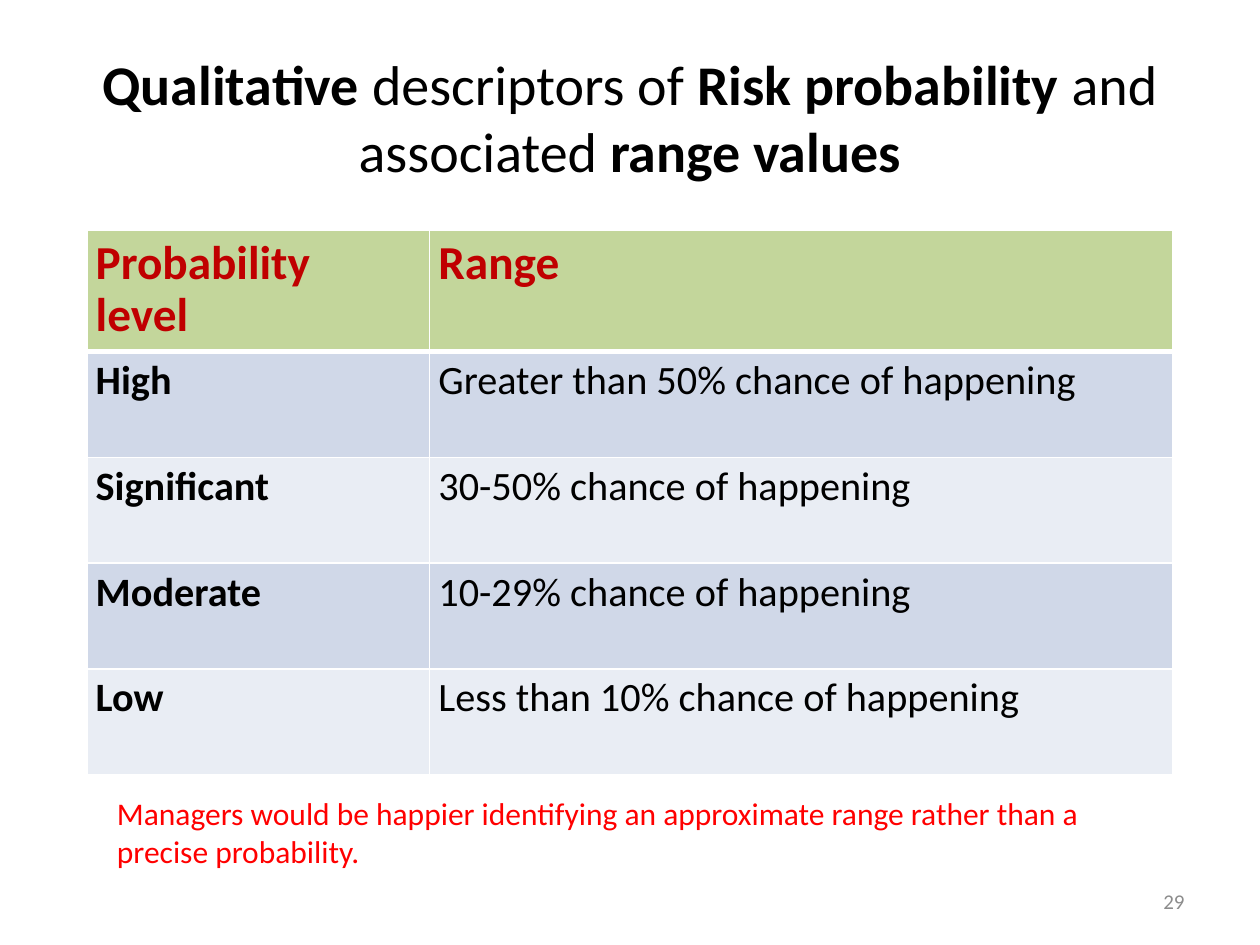
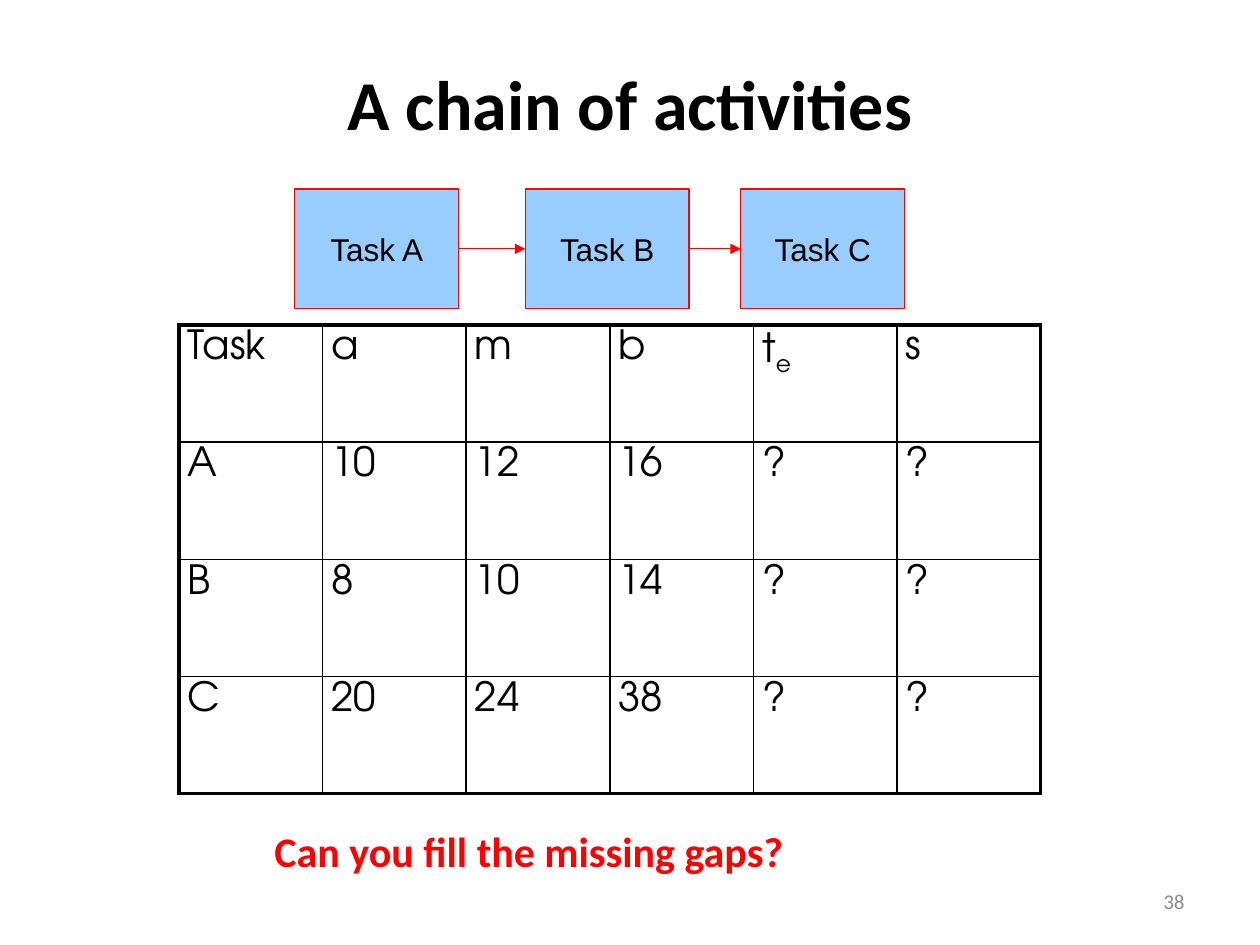
from lxml.etree import SubElement
from pptx import Presentation
from pptx.dml.color import RGBColor
from pptx.enum.shapes import MSO_CONNECTOR as CONN, MSO_SHAPE as SHAPE
from pptx.enum.text import MSO_ANCHOR as ANCHOR, PP_ALIGN as ALIGN
from pptx.oxml.ns import qn
from pptx.util import Inches, Pt

THEME = {
    "black": "000000", "white": "FFFFFF", "red": "FF0000", "grey": "8C8C8C",
    "dark_red": "C00000", "green": "C3D69B", "task": "99CCFF",
    "bands": ("D0D8E8", "E9EDF4"),
    "body": "Calibri", "shape": "Arial", "grid": "TeX Gyre Adventor",
    "title": 32, "big_title": 40, "head": 27, "cell": 23, "prompt": 24,
    "note": 18, "number": 12,
}


def write(tf, paragraphs, size, color=THEME["black"], font=THEME["body"],
          align=None, spacing=None):
    """Fill a text frame; each paragraph is a list of (text, font values) runs."""
    for i, runs in enumerate(paragraphs):
        p = tf.paragraphs[0] if i == 0 else tf.add_paragraph()
        for name, value in {"alignment": align, "line_spacing": spacing}.items():
            setattr(p, name, value)
        for text, extra in runs:
            r = p.add_run()
            r.text = text
            values = {"name": font, "size": Pt(size), "bold": False, **extra}
            for name, value in values.items():
                setattr(r.font, name, value)
            r.font.color.rgb = RGBColor.from_string(color)


def format_cell(cell, fill, color, widths):
    """Set margins, fill and the left, right, top and bottom border widths."""
    for side, inset in zip(("left", "right", "top", "bottom"), (0.07, 0.07, 0.06, 0.06)):
        setattr(cell, "margin_" + side, Inches(inset))
    tc_pr = cell._tc.get_or_add_tcPr()
    for tag, width in zip(("a:lnL", "a:lnR", "a:lnT", "a:lnB"), widths):
        ln = SubElement(tc_pr, qn(tag), w=str(Pt(width)))
        SubElement(SubElement(ln, qn("a:solidFill")), qn("a:srgbClr"), val=color)
    if fill:
        cell.fill.solid()
        cell.fill.fore_color.rgb = RGBColor.from_string(fill)
    else:
        cell.fill.background()


prs = Presentation()
prs.slide_width, prs.slide_height = Inches(10), Inches(7.5)
BOLD = {"bold": True}

# Titles, page numbers and red remarks
pages = [
    {"title": [("Qualitative", BOLD), (" descriptors of ", {}), ("Risk probability", BOLD),
               (" and associated ", {}), ("range values", BOLD)],
     "title_size": THEME["title"], "title_height": 1.25, "number": "29",
     "remark": [("Managers would be happier identifying an approximate range "
                 "rather than a precise probability.", {})],
     "remark_size": THEME["note"], "remark_at": (0.83, 6.25, 7.92, 0.71)},
    {"title": [("A chain of activities", BOLD)],
     "title_size": THEME["big_title"], "title_height": 1.03, "number": "38",
     "remark": [("Can you fill the missing gaps?", BOLD)],
     "remark_size": THEME["prompt"], "remark_at": (2.08, 6.5, 5, 0.5)},
]
slides = []
for page in pages:
    s = prs.slides.add_slide(prs.slide_layouts[6])
    slides.append(s)
    boxes = [
        ((0.5, 0.3, 9, page["title_height"]), page["title"], page["title_size"],
         THEME["black"], ALIGN.CENTER, ANCHOR.MIDDLE),
        ((7.17, 6.95, 2.33, 0.4), [(page["number"], {})], THEME["number"],
         THEME["grey"], ALIGN.RIGHT, ANCHOR.MIDDLE),
        (page["remark_at"], page["remark"], page["remark_size"],
         THEME["red"], ALIGN.LEFT, ANCHOR.TOP),
    ]
    for at, runs, size, color, align, anchor in boxes:
        tf = s.shapes.add_textbox(*map(Inches, at)).text_frame
        tf.word_wrap, tf.vertical_anchor = True, anchor
        write(tf, [runs], size, color, align=align)
probability_slide, chain_slide = slides

# Probability levels and their ranges
levels = [
    (("Probability ", "level"), ("Range",)),
    (("High",), ("Greater than 50% chance of happening",)),
    (("Significant",), ("30-50% chance of happening",)),
    (("Moderate",), ("10-29% chance of happening",)),
    (("Low",), ("Less than 10% chance of happening",)),
]
table = probability_slide.shapes.add_table(
    len(levels), 2, *map(Inches, (0.69, 1.83, 8.62, 4.32))).table
for column, width in zip(table.columns, (2.72, 5.9)):
    column.width = Inches(width)
for i, level in enumerate(levels):
    header = i == 0
    table.rows[i].height = Inches(0.96 if header else 0.84)
    for j, lines in enumerate(level):
        cell = table.cell(i, j)
        format_cell(cell, THEME["green"] if header else THEME["bands"][(i - 1) % 2],
                    THEME["white"], (1, 1, 1, 3 if header else 1))
        write(cell.text_frame, [[(line, {"bold": header or j == 0})] for line in lines],
              THEME["head"] if header else THEME["cell"],
              THEME["dark_red"] if header else THEME["black"],
              align=ALIGN.JUSTIFY, spacing=0.9)

# Chain of tasks
tasks = []
for name, left in (("Task A", 2.34), ("Task B", 4.17), ("Task C", 5.88)):
    sp = chain_slide.shapes.add_shape(
        SHAPE.RECTANGLE, *map(Inches, (left, 1.5, 1.3, 0.95)))
    sp.shadow.inherit = False
    sp.fill.solid()
    sp.fill.fore_color.rgb = RGBColor.from_string(THEME["task"])
    sp.line.color.rgb = RGBColor.from_string(THEME["red"])
    sp.line.width = Pt(0.75)
    tf = sp.text_frame
    tf.word_wrap, tf.vertical_anchor = False, ANCHOR.MIDDLE
    write(tf, [[(name, {})]], THEME["note"], font=THEME["shape"], align=ALIGN.CENTER)
    tasks.append(sp)
for before, after in zip(tasks, tasks[1:]):
    arrow = chain_slide.shapes.add_connector(CONN.STRAIGHT, 0, 0, 0, 0)
    arrow.begin_connect(before, 3)
    arrow.end_connect(after, 1)
    arrow.line.color.rgb = RGBColor.from_string(THEME["red"])
    arrow.line.width = Pt(0.75)
    SubElement(arrow.line._get_or_add_ln(), qn("a:tailEnd"), type="triangle")
    SubElement(arrow._element.spPr, qn("a:effectLst"))

# Estimates for each task
estimates = [
    ("Task", "a", "m", "b", "te", "s"),
    ("A", "10", "12", "16", "?", "?"),
    ("B", "8", "10", "14", "?", "?"),
    ("C", "20", "24", "38", "?", "?"),
]
last_row, last_col = len(estimates) - 1, len(estimates[0]) - 1
table = chain_slide.shapes.add_table(
    last_row + 1, last_col + 1, *map(Inches, (1.42, 2.58, 6.84, 3.72))).table
for column in table.columns:
    column.width = Inches(1.14)
for i, estimate in enumerate(estimates):
    table.rows[i].height = Inches(0.93)
    for j, text in enumerate(estimate):
        cell = table.cell(i, j)
        outer = (j == 0, j == last_col, i == 0, i == last_row)
        format_cell(cell, None, THEME["black"], [2.25 if edge else 1 for edge in outer])
        runs = [(letter, {}) for letter in text] if text == "te" else [(text, {})]
        write(cell.text_frame, [runs], THEME["cell"], font=THEME["grid"], spacing=0.9)
subscript = table.cell(0, 4).text_frame.paragraphs[0].runs[1]
subscript.font._element.set("baseline", "-25000")

prs.save("out.pptx")
